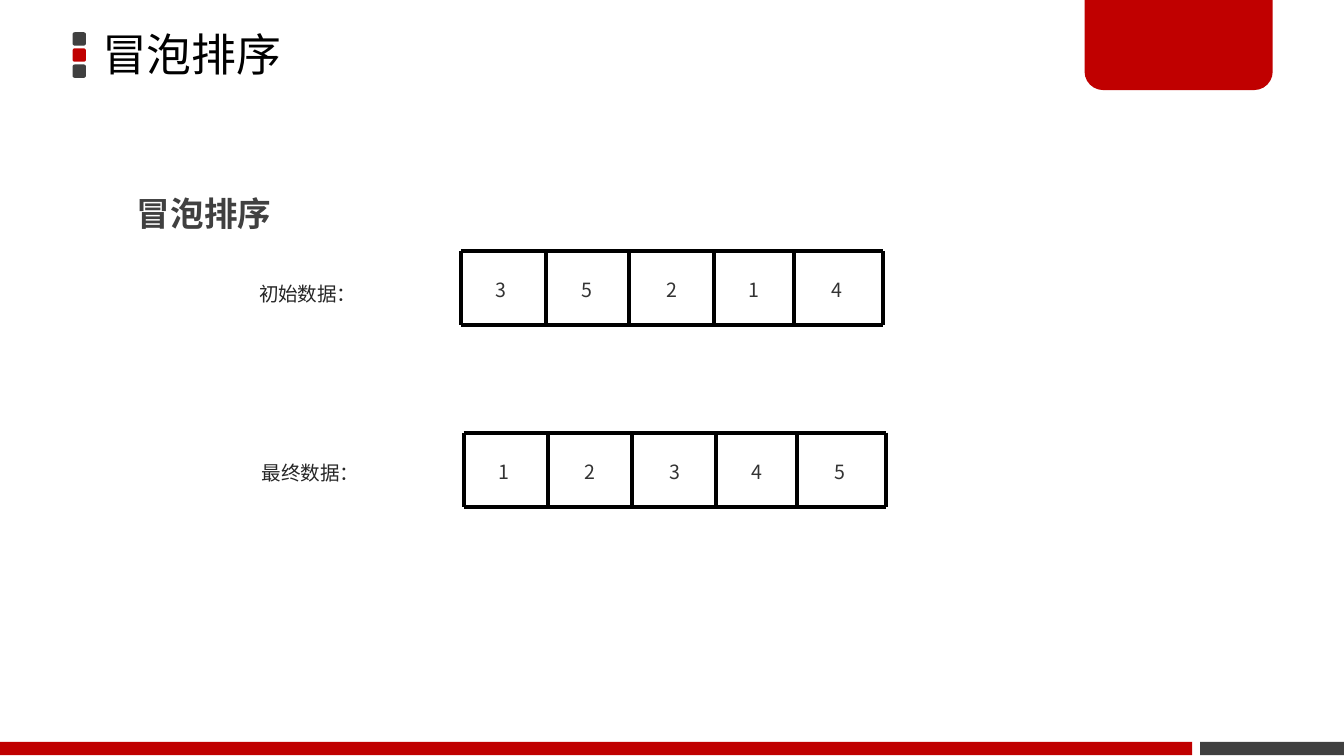
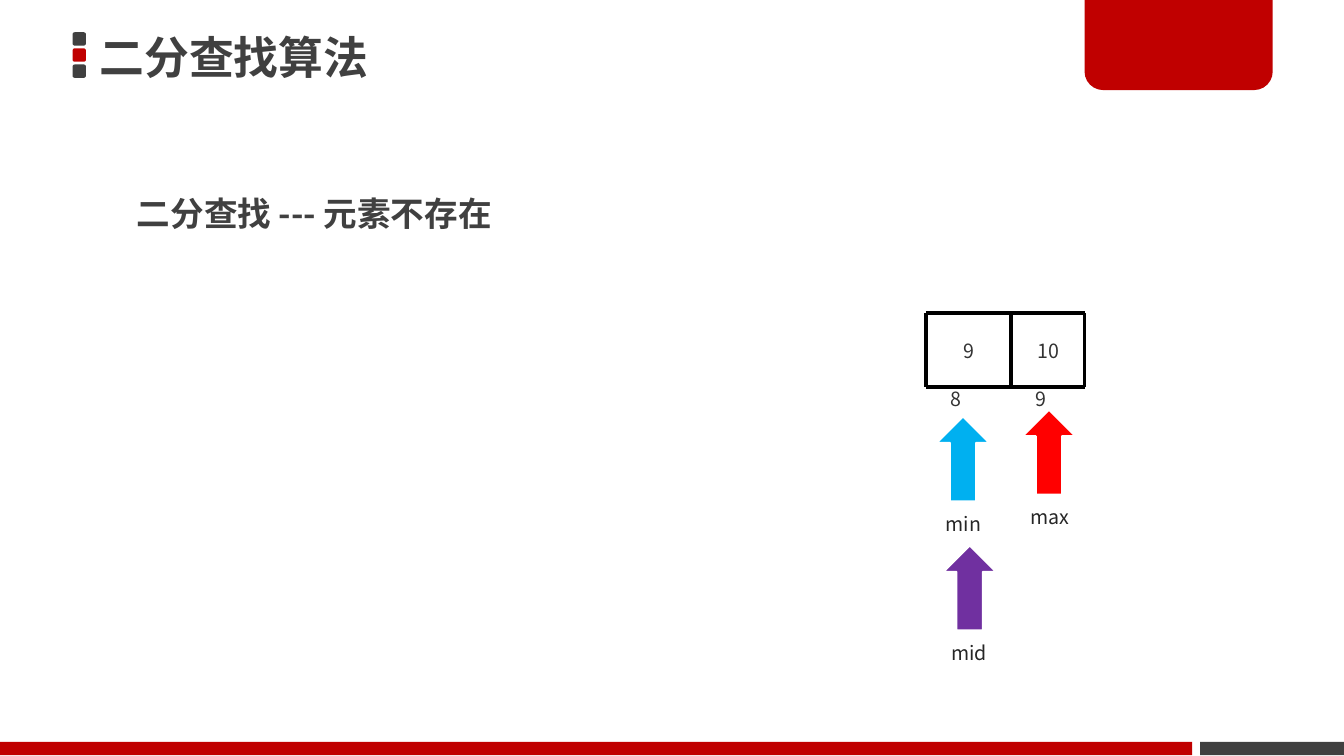
from lxml.etree import SubElement
from pptx import Presentation
from pptx.dml.color import RGBColor
from pptx.enum.shapes import MSO_CONNECTOR, MSO_SHAPE
from pptx.enum.text import MSO_ANCHOR, MSO_AUTO_SIZE
from pptx.oxml.ns import qn
from pptx.util import Inches, Pt

RED, DARK, BLACK, WHITE = "C00000", "404040", "000000", "FFFFFF"
LABEL_COLOR, NUMBER_COLOR = "262626", "333333"
BODY_FONT, TITLE_FONT = "Noto Sans CJK SC", "Noto Sans CJK JP"


def color(value):
    return RGBColor.from_string(value)


def inches(*lengths):
    return [Inches(length) for length in lengths]


def add_block(shapes, kind, box, fill, outline=None):
    shape = shapes.add_shape(kind, *inches(*box))
    shape.shadow.inherit = False
    shape.fill.solid()
    shape.fill.fore_color.rgb = color(fill)
    if outline:
        shape.line.color.rgb = color(outline)
        shape.line.width = Pt(1)
    else:
        shape.line.fill.background()
    return shape


def add_line(slide, start, end):
    line = slide.shapes.add_connector(MSO_CONNECTOR.STRAIGHT, *inches(*start, *end))
    line.line.color.rgb = color(BLACK)
    line.line.width = Pt(2)
    SubElement(line._element.spPr, qn("a:effectLst"))


def add_text(slide, box, text, text_color, size=10.5, bold=False, name=BODY_FONT,
             spacing=None, frame_format=None):
    frame = slide.shapes.add_textbox(*inches(*box)).text_frame
    values = {"word_wrap": True, "auto_size": MSO_AUTO_SIZE.SHAPE_TO_FIT_TEXT}
    for key, value in (values | (frame_format or {})).items():
        setattr(frame, key, value)
    paragraph = frame.paragraphs[0]
    paragraph.line_spacing = spacing
    run = paragraph.add_run()
    run.text = text
    for key, value in {"name": name, "size": Pt(size), "bold": bold}.items():
        setattr(run.font, key, value)
    run.font.color.rgb = color(text_color)
    SubElement(run._r.get_or_add_rPr(), qn("a:ea"), typeface=name)


def add_number(slide, box, text, text_color=NUMBER_COLOR):
    add_text(slide, box, text, text_color, frame_format={"word_wrap": False})


def add_marker(slide, left, top):
    group = slide.shapes.add_group_shape()
    for index, fill in enumerate((DARK, RED, DARK)):
        add_block(group.shapes, MSO_SHAPE.ROUNDED_RECTANGLE,
                  (left, top + 0.12 * index, 0.1, 0.1), fill)


def add_footer(slide, top, height):
    add_block(slide.shapes, MSO_SHAPE.RECTANGLE, (0, top, 8.87, height), RED)
    add_block(slide.shapes, MSO_SHAPE.RECTANGLE, (8.93, top, 1.07, height), DARK)


def add_corner_tab(slide, box):
    tab = add_block(slide.shapes, MSO_SHAPE.ROUND_2_SAME_RECTANGLE, box, RED)
    tab.adjustments[0] = 0
    tab.adjustments[1] = 0.2


def add_title(slide, box, text, text_color, bold, spacing=None):
    add_text(slide, box, text, text_color, 24, bold, TITLE_FONT, spacing, {
        "auto_size": MSO_AUTO_SIZE.NONE,
        "vertical_anchor": MSO_ANCHOR.MIDDLE,
        "margin_left": Inches(0.07), "margin_right": Inches(0.07),
        "margin_top": Inches(0.04), "margin_bottom": Inches(0.04),
    })


def add_base_slide(presentation, heading, heading_height):
    slide = presentation.slides.add_slide(presentation.slide_layouts[6])
    add_marker(slide, 0.54, 0.24)
    add_corner_tab(slide, (8.07, -0.02, 1.4, 0.69))
    add_footer(slide, 5.52, 0.1)
    add_text(slide, (0.92, 1.24, 3.84, heading_height), heading, DARK, 18, True, spacing=1.5)
    return slide


def add_array(slide, left, top, edges, cells, number_offset, height=0.55):
    for y in (top, top + height):
        add_line(slide, (left, y), (left + edges[-1], y))
    for edge in edges:
        add_line(slide, (left + edge, top), (left + edge, top + height))
    for offset, text in cells:
        width = 0.21 + 0.08 * len(text)
        add_number(slide, (left + offset, top + number_offset, width, 0.28), text)


def add_pointer(slide, left, top, text, fill, label_offset, label_width):
    add_block(slide.shapes, MSO_SHAPE.UP_ARROW, (left, top, 0.39, 0.63), fill, WHITE)
    add_number(slide, (left + label_offset, top + 0.66, label_width, 0.28), text, LABEL_COLOR)


def add_bubble_sort_slide(presentation):
    slide = add_base_slide(presentation, "冒泡排序", 0.5)
    add_title(slide, (0.69, -0.02, 5.89, 0.89), "冒泡排序", BLACK, False, 0.9)
    edges = (0, 0.63, 1.25, 1.88, 2.48, 3.14)
    offsets = (0.16, 0.8, 1.43, 2.04, 2.66)
    rows = (
        ("初始数据：", (1.83, 1.96, 1.03, 0.37), 3.43, 1.87, "35214"),
        ("最终数据：", (1.85, 3.29, 1.09, 0.37), 3.45, 3.22, "12345"),
    )
    for label, label_box, left, top, digits in rows:
        add_text(slide, label_box, label, LABEL_COLOR, spacing=1.5)
        add_array(slide, left, top, edges, zip(offsets, digits), 0.15)


def add_binary_search_slide(presentation):
    slide = add_base_slide(presentation, "二分查找 --- 元素不存在", 0.56)
    add_title(slide, (0.67, 0.21, 7.19, 0.42), "二分查找算法", DARK, True)
    add_array(slide, 6.89, 2.33, (0, 0.63, 1.18), ((0.18, "9"), (0.73, "10")), 0.14)
    for left, index in ((6.97, "8"), (7.61, "9")):
        add_number(slide, (left, 2.83, 0.29, 0.28), index)
    add_pointer(slide, 6.97, 3.1, "min", "00B0F0", -0.03, 0.47)
    add_pointer(slide, 7.61, 3.05, "max", "FF0000", -0.04, 0.5)
    add_pointer(slide, 7.02, 4.06, "mid", "7030A0", -0.04, 0.47)


def main():
    presentation = Presentation()
    presentation.slide_width = Inches(10)
    presentation.slide_height = Inches(10) * 9 // 16
    add_bubble_sort_slide(presentation)
    add_binary_search_slide(presentation)
    presentation.save("out.pptx")


if __name__ == "__main__":
    main()
